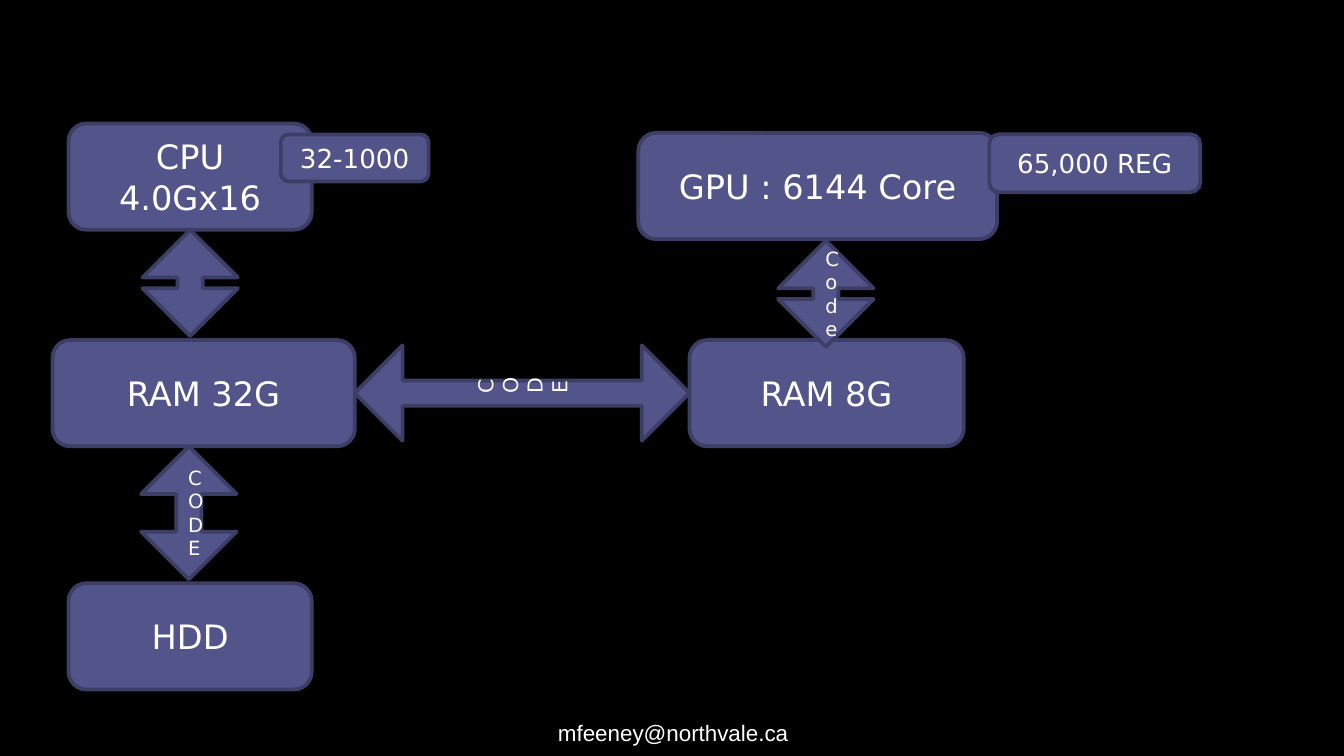
from pptx import Presentation
from pptx.dml.color import RGBColor
from pptx.enum.shapes import MSO_SHAPE
from pptx.enum.text import MSO_ANCHOR, PP_ALIGN
from pptx.util import Pt

ROUNDED = MSO_SHAPE.ROUNDED_RECTANGLE
ARROW = MSO_SHAPE.UP_DOWN_ARROW
MIDDLE = MSO_ANCHOR.MIDDLE
CENTER = PP_ALIGN.CENTER

COLORS = {
    "background": "000000",
    "block": "53548A",
    "edge": "3D3E66",
    "text": "FFFFFF",
}
BLOCK_HEIGHT = 56.9
ARROW_WIDTH = 51.1


def color(name):
    return RGBColor.from_string(COLORS[name])


def write(frame, wording, size, font="DejaVu Sans"):
    frame.word_wrap = True
    frame.text = wording
    paragraph = frame.paragraphs[0]
    paragraph.alignment = CENTER
    for run in paragraph.runs:
        run.font.size = Pt(size)
        run.font.name = font
        run.font.color.rgb = color("text")


def add_part(slide, preset, box, wording="", size=18):
    part = slide.shapes.add_shape(preset, *(Pt(length) for length in box))
    part.shadow.inherit = False
    part.fill.solid()
    part.fill.fore_color.rgb = color("block")
    part.line.color.rgb = color("edge")
    part.line.width = Pt(2)
    part.text_frame.vertical_anchor = MIDDLE
    if wording:
        write(part.text_frame, wording, size)
    return part


def add_arrow(slide, box, wording="", size=10.5):
    arrow = add_part(slide, ARROW, box, wording, size)
    arrow.adjustments[0] = 0.5
    arrow.adjustments[1] = 0.265
    return arrow


def add_host(slide, left, top):
    ram_top = top + 116
    hdd_top = top + 246.3
    add_part(slide, ROUNDED, (left + 8.6, top, 130.3, BLOCK_HEIGHT), "CPU 4.0Gx16")
    add_part(slide, ROUNDED, (left, ram_top, 162, BLOCK_HEIGHT), "RAM 32G")
    add_part(slide, ROUNDED, (left + 8.6, hdd_top, 130.3, BLOCK_HEIGHT), "HDD")
    add_arrow(slide, (left + 48.2, top + BLOCK_HEIGHT, ARROW_WIDTH, 56.9))
    add_arrow(slide, (left + 47.5, ram_top + BLOCK_HEIGHT, ARROW_WIDTH, 71.3), "CODE")
    add_part(slide, ROUNDED, (left + 122.3, top + 5.8, 79.2, 25.2), "32-1000", 14)


def add_device(slide, left, top):
    add_part(slide, ROUNDED, (left + 27.4, top + 111, 146.9, BLOCK_HEIGHT), "RAM 8G")
    add_part(slide, ROUNDED, (left, top, 192.2, BLOCK_HEIGHT), "GPU : 6144 Core")
    add_arrow(slide, (left + 74.9, top + 57.7, ARROW_WIDTH, 56.9), "Code")
    add_part(slide, ROUNDED, (left + 188, top + 0.8, 113, 31), "65,000 REG", 14)


def add_bus(slide, left, top, width, height):
    upright_left = left + (width - height) / 2
    upright_top = top + (height - width) / 2
    bus = add_arrow(slide, (upright_left, upright_top, height, width), "CODE", 11)
    bus.rotation = 270


def add_footer(slide, left, top, width, height):
    contact = slide.shapes.add_textbox(Pt(left), Pt(top), Pt(width), Pt(height))
    write(contact.text_frame, "mfeeney@northvale.ca", 12, "Arial")


def main():
    deck = Presentation()
    deck.slide_width = Pt(720)
    deck.slide_height = Pt(405)
    slide = deck.slides.add_slide(deck.slide_layouts[6])
    slide.background.fill.solid()
    slide.background.fill.fore_color.rgb = color("background")
    add_footer(slide, 230.4, 381.6, 260.6, 21.6)
    add_host(slide, 28.1, 66.2)
    add_device(slide, 342, 71.2)
    add_bus(slide, 190.1, 185, 179.3, ARROW_WIDTH)
    deck.save("out.pptx")


if __name__ == "__main__":
    main()
